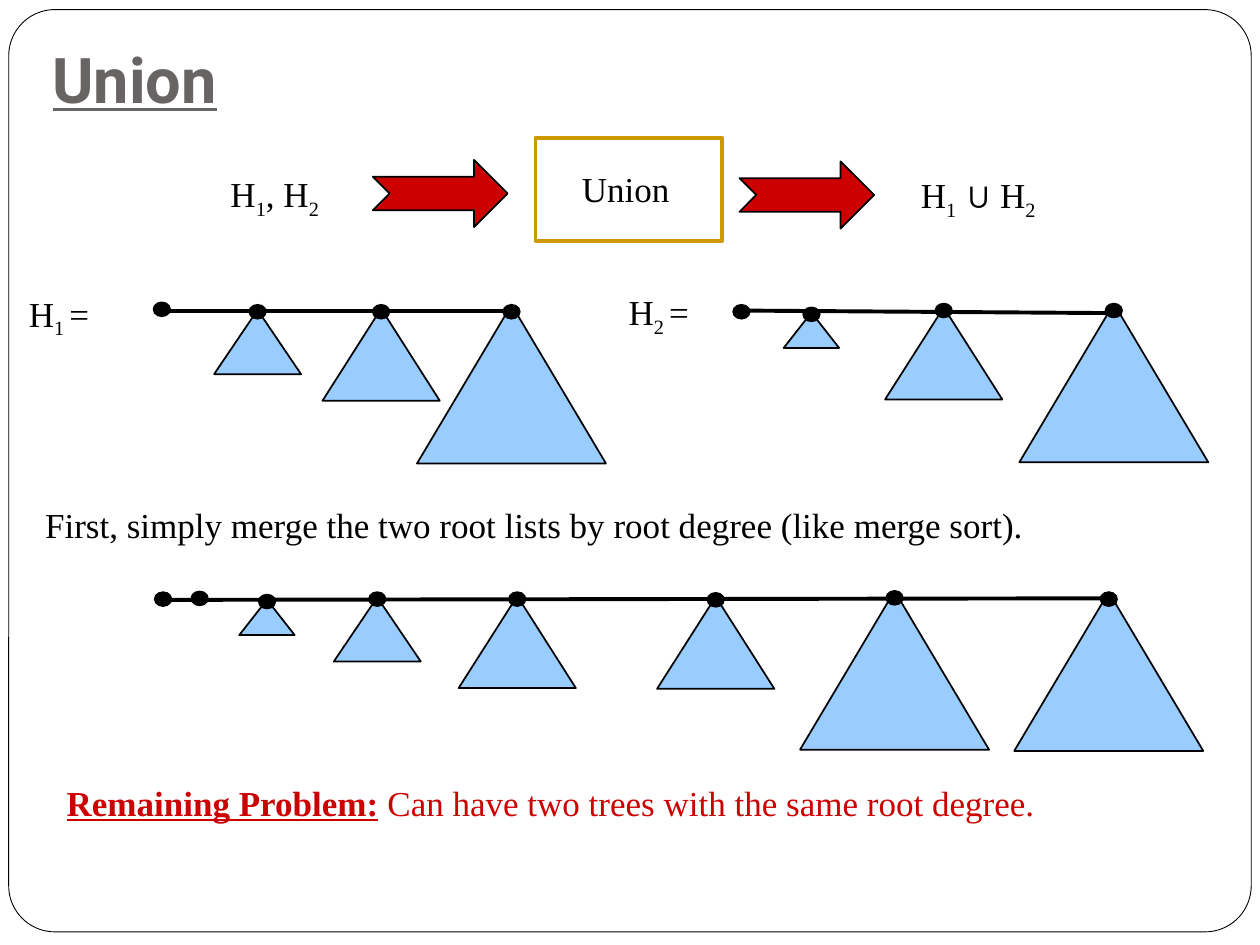
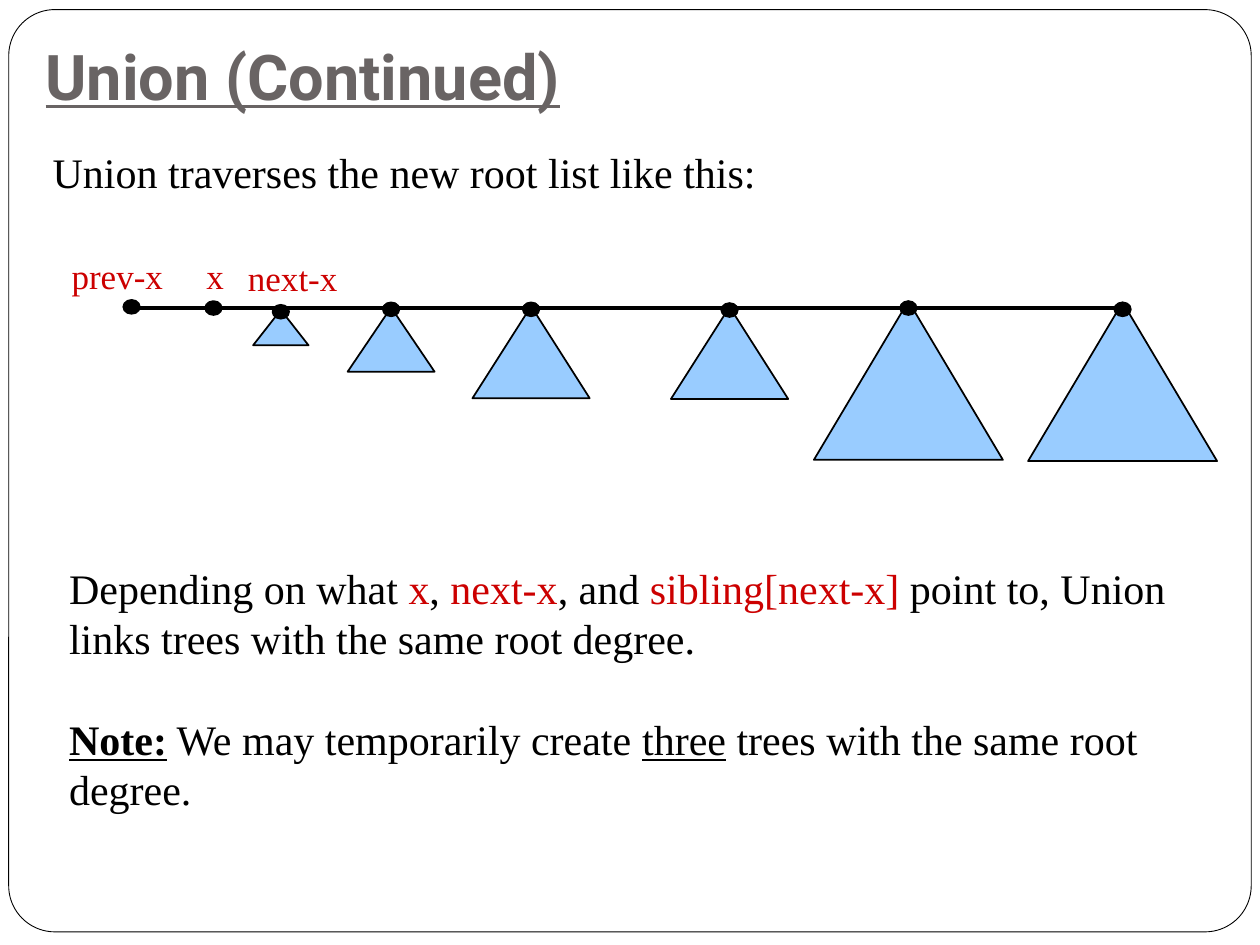
from lxml import etree
from pptx import Presentation
from pptx.dml.color import RGBColor
from pptx.enum import shapes, text
from pptx.oxml import ns
from pptx.util import Pt

# Shared look
BLACK, WHITE, RED = "000000", "FFFFFF", "CC0000"
GOLD, SKY, GREY = "CC9900", "99CCFF", "696464"
BODY_FONT, TITLE_FONT = "Times New Roman", "Roboto"
SHAPE = shapes.MSO_SHAPE

# Run styles
SUB = {"sub": True}
MARKED = {"color": RED}
HEADING = {"bold": True, "underline": True}

# Tree drawing: root dot, and for each degree the width, height and drop below the dot's top
DOT_WIDTH, DOT_HEIGHT = 9.4, 7.9
TREE_SIZES = {1: (31.7, 20.2, 2.9), 2: (49.7, 36.7, 2.9),
              3: (67, 52.6, 2.2), 4: (108, 90.7, 0)}

# Root lists: (degree, centre of root, top of root)
H1_TREES = [(0, 92.5, 172.8), (2, 147.2, 174.2), (3, 217.8, 174.2), (4, 292.3, 174.2)]
H2_TREES = [(0, 423.7, 174.2), (1, 463.7, 175.7), (3, 539.3, 173.5), (4, 636.5, 173.5)]
MERGED_ROOTS = [(0, 93.2, 338.4), (0, 114.1, 338)]
MERGED_TREES = [(1, 152.6, 339.8), (2, 215.6, 338.4), (3, 295.6, 338.4),
                (3, 409, 338.8), (4, 511.2, 337.7), (4, 633.6, 338.4)]
TRAVERSED_ROOTS = [(0, 75.2, 171.4), (0, 122, 172.1)]
TRAVERSED_SHIFT = (7.9, -165.6)


def rgb(color):
    return RGBColor.from_string(color)


def add_figure(slide, preset, left, top, width, height, fill=None, line=BLACK, weight=1):
    figure = slide.shapes.add_shape(preset, Pt(left), Pt(top), Pt(width), Pt(height))
    figure.shadow.inherit = False
    if fill:
        figure.fill.solid()
        figure.fill.fore_color.rgb = rgb(fill)
    else:
        figure.fill.background()
    figure.line.color.rgb = rgb(line)
    figure.line.width = Pt(weight)
    return figure


def style_run(run, color=None, bold=None, underline=None, sub=False, font=None):
    if color:
        run.font.color.rgb = rgb(color)
    if font:
        run.font.name = font
    run.font.bold = bold
    run.font.underline = underline
    if sub:
        run.font._element.set("baseline", "-25000")


def add_text(slide, left, top, width, height, *paragraphs, size=20, color=BLACK,
             font=BODY_FONT):
    """Each paragraph is a list of plain strings and (string, style) pairs."""
    box = slide.shapes.add_textbox(Pt(left), Pt(top), Pt(width), Pt(height))
    frame = box.text_frame
    frame.word_wrap = True
    frame.margin_right = 0  # room for snug labels to stay on one line
    for index, runs in enumerate(paragraphs):
        paragraph = frame.add_paragraph() if index else frame.paragraphs[0]
        paragraph.font.name = font
        paragraph.font.size = Pt(size)
        paragraph.font.color.rgb = rgb(color)
        for item in runs:
            words, style = (item, {}) if isinstance(item, str) else item
            run = paragraph.add_run()
            run.text = words
            style_run(run, **style)
    return frame


def add_tree(slide, degree, center, top):
    if degree:
        width, height, drop = TREE_SIZES[degree]
        add_figure(slide, SHAPE.ISOSCELES_TRIANGLE, center - width / 2, top + drop,
                   width, height, SKY)
    add_figure(slide, SHAPE.OVAL, center - DOT_WIDTH / 2, top, DOT_WIDTH, DOT_HEIGHT, BLACK)


def add_root_list(slide, trees, start, end):
    for tree in trees:
        add_tree(slide, *tree)
    link = slide.shapes.add_connector(shapes.MSO_CONNECTOR.STRAIGHT,
                                      *map(Pt, start), *map(Pt, end))
    link.line.color.rgb = rgb(BLACK)
    link.line.width = Pt(2.25)
    etree.SubElement(link._element.spPr, ns.qn("a:effectLst"))


def add_slide(deck, title, left, top):
    slide = deck.slides.add_slide(deck.slide_layouts[6])
    border = add_figure(slide, SHAPE.ROUNDED_RECTANGLE, 5, 5.5, 710, 527, WHITE, weight=0.5)
    border.adjustments[0] = 0.05
    heading = add_text(slide, left, top, 612, 53, [title], size=36, color=GREY,
                       font=TITLE_FONT)
    heading.margin_bottom = Pt(7.2)
    heading.vertical_anchor = text.MSO_ANCHOR.BOTTOM
    heading.paragraphs[0].font.bold = True
    heading.paragraphs[0].font.underline = True
    return slide


def build_union(deck):
    slide = add_slide(deck, "Union", 23, 20.5)

    # Input, operation and result
    add_figure(slide, SHAPE.RECTANGLE, 306, 78.7, 106.6, 59, line=GOLD, weight=2.25)
    add_text(slide, 325.4, 92.2, 64, 31.7, ["Union"])
    for left, top in ((213.1, 91.4), (422.6, 92.2)):
        add_figure(slide, SHAPE.NOTCHED_RIGHT_ARROW, left, top, 77, 38.4, RED)
    add_text(slide, 124.6, 95.3, 64.8, 34.6, ["H", ("1", SUB), ", H", ("2", SUB)])
    add_text(slide, 519.1, 95.8, 80.6, 34.6,
             ["H", ("1", SUB), (" ∪", {"font": "Arial"}), " H", ("2", SUB)])

    # The two heaps
    add_text(slide, 9.4, 163.4, 49, 34.6, ["H", ("1 ", SUB), "="])
    add_root_list(slide, H1_TREES, (90, 177.8), (292.3, 177.8))
    add_text(slide, 352.1, 162.3, 49, 34.6, ["H", ("2 ", SUB), "="])
    add_root_list(slide, H2_TREES, (425.5, 177.5), (632.9, 178.9))

    # Merged root list
    add_text(slide, 18.7, 284, 573.8, 31.7,
             ["First, simply merge the two root lists by root degree (like merge sort)."])
    add_root_list(slide, MERGED_ROOTS + MERGED_TREES, (93.6, 342.8), (634.3, 341.9))
    add_text(slide, 31, 442.8, 568, 31.7,
             [("Remaining Problem:", HEADING),
              " Can have two trees with the same root degree."], color=RED)


def build_traversal(deck):
    slide = add_slide(deck, "Union (Continued)", 19, 18.7)
    add_text(slide, 23, 79.9, 416, 36, ["Union traverses the new root list like this:"], size=24)

    # Root list with its pointers
    dx, dy = TRAVERSED_SHIFT
    trees = [(degree, center + dx, top + dy) for degree, center, top in MERGED_TREES]
    add_root_list(slide, TRAVERSED_ROOTS + trees, (72, 175.9), (642.2, 175.9))
    for pointer, left, top, width in (("prev-x", 33.8, 141.8, 66.2), ("x", 110.9, 141.8, 24.5),
                                      ("next-x", 134.6, 143.3, 65.5)):
        add_text(slide, left, top, width, 31.7, [pointer], color=RED)

    # Explanation
    explanation = add_text(
        slide, 32.4, 317.8, 641, 151.2,
        ["Depending on what ", ("x", MARKED), ", ", ("next-x", MARKED), ", and ",
         ("sibling[next-x]", MARKED),
         " point to, Union links trees with the same root degree."],
        [("Note:", HEADING), " We may temporarily create ", ("three", {"underline": True}),
         " trees with the same root degree."],
        size=24)
    for paragraph in explanation.paragraphs:
        paragraph.line_spacing = Pt(28.8)
    explanation.paragraphs[1].space_before = Pt(28.8)


def main():
    deck = Presentation()
    deck.slide_width, deck.slide_height = Pt(720), Pt(540)
    build_union(deck)
    build_traversal(deck)
    deck.save("out.pptx")


if __name__ == "__main__":
    main()
